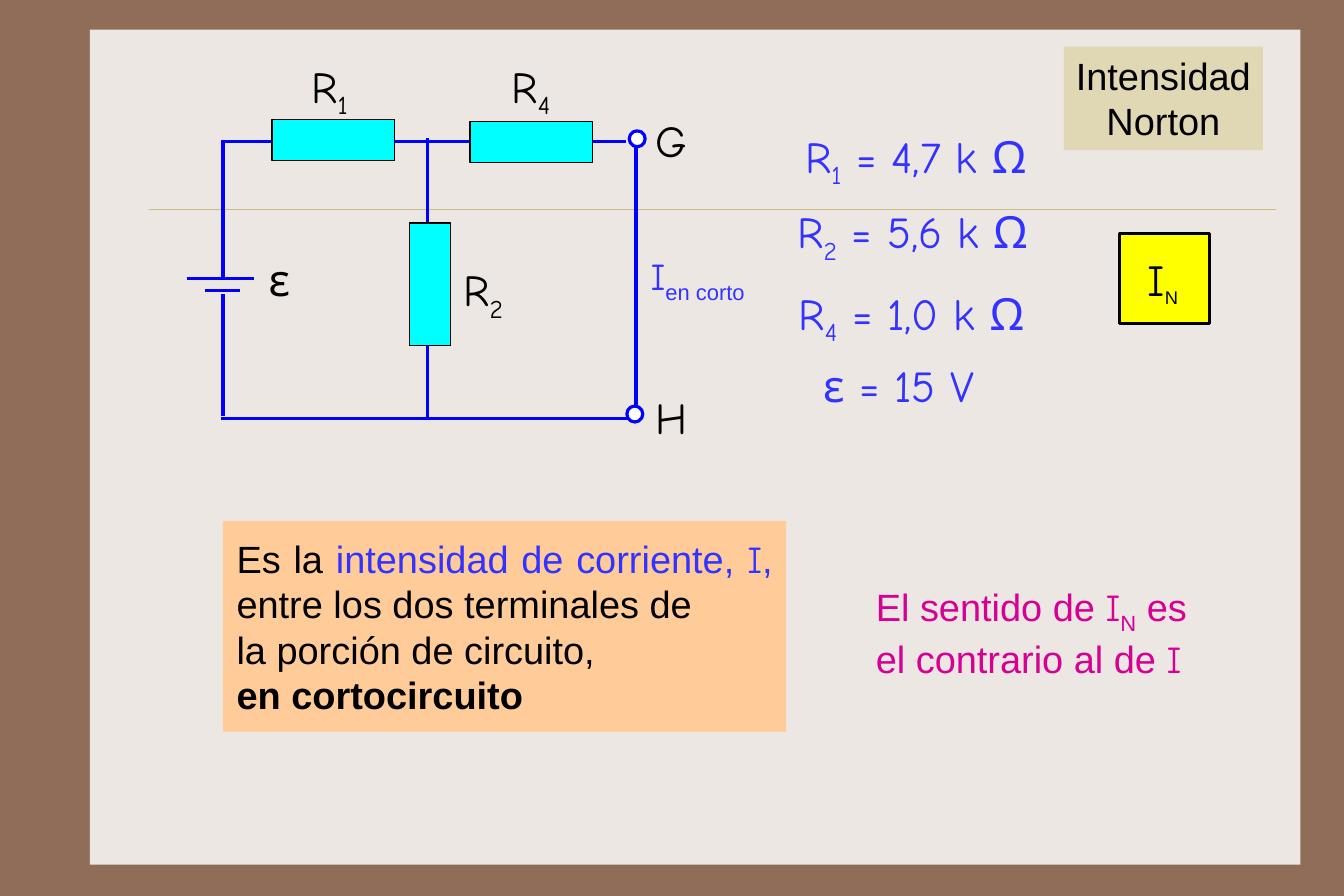
import dataclasses
import typing

import lxml.etree
import pptx
import pptx.dml.color
import pptx.enum.shapes
import pptx.enum.text
import pptx.oxml.ns
import pptx.util

Pt = pptx.util.Pt
Align = pptx.enum.text.PP_ALIGN
Anchor = pptx.enum.text.MSO_ANCHOR
Shape = pptx.enum.shapes.MSO_SHAPE

COLORS: dict[str, str] = {
    "frame": "906D58", "panel": "EDE7E3", "rule": "CBBD83", "wire": "0000FF",
    "resistor": "00FFFF", "black": "000000", "white": "FFFFFF", "blue": "3333FF",
    "yellow": "FFFF00", "orange": "FFCC99", "magenta": "D60093", "sand": "E0D7B5",
}
HAND = "Comic Neue"
SANS = "Arial"


@dataclasses.dataclass(frozen=True)
class Span:
    text: str
    color: str = "black"
    font: str = HAND
    size: float = 28
    sub: bool = False
    bold: bool = False


@dataclasses.dataclass(frozen=True)
class Block:
    left: float
    top: float
    width: float
    height: float
    fill: str
    line: str = ""
    weight: float = 0.75
    kind: typing.Any = Shape.RECTANGLE


@dataclasses.dataclass(frozen=True)
class Line:
    x1: float
    y1: float
    x2: float
    y2: float
    color: str = "wire"
    weight: float = 2


@dataclasses.dataclass(frozen=True)
class Label:
    left: float
    top: float
    width: float
    height: float
    paras: list[list[Span]]
    align: typing.Any = Align.CENTER
    inset_x: float = 6.6
    inset_y: float = 3.6
    fill: str = ""
    anchor: typing.Any = Anchor.TOP
    indent: float = 0


def rgb(name: str) -> pptx.dml.color.RGBColor:
    return pptx.dml.color.RGBColor.from_string(COLORS[name])


def draw_block(page: typing.Any, block: Block) -> typing.Any:
    shape = page.shapes.add_shape(
        block.kind, Pt(block.left), Pt(block.top), Pt(block.width), Pt(block.height))
    shape.shadow.inherit = False
    shape.fill.solid()
    shape.fill.fore_color.rgb = rgb(block.fill)
    if block.line:
        shape.line.color.rgb = rgb(block.line)
        shape.line.width = Pt(block.weight)
    else:
        shape.line.fill.background()
    return shape


def draw_line(page: typing.Any, line: Line) -> None:
    connector = page.shapes.add_connector(
        pptx.enum.shapes.MSO_CONNECTOR.STRAIGHT,
        Pt(line.x1), Pt(line.y1), Pt(line.x2), Pt(line.y2))
    connector.line.color.rgb = rgb(line.color)
    connector.line.width = Pt(line.weight)
    lxml.etree.SubElement(
        connector._element.spPr, pptx.oxml.ns.qn("a:effectLst"))


def draw_label(page: typing.Any, label: Label) -> None:
    if label.fill:
        box = draw_block(page, Block(
            label.left, label.top, label.width, label.height, label.fill))
    else:
        box = page.shapes.add_textbox(
            Pt(label.left), Pt(label.top), Pt(label.width), Pt(label.height))
    frame = box.text_frame
    frame.word_wrap = True
    frame.vertical_anchor = label.anchor
    frame.margin_left = frame.margin_right = Pt(label.inset_x)
    frame.margin_top = frame.margin_bottom = Pt(label.inset_y)
    for index, spans in enumerate(label.paras):
        para = frame.add_paragraph() if index else frame.paragraphs[0]
        para.alignment = label.align
        if label.indent:
            para._p.get_or_add_pPr().set("marL", str(Pt(label.indent)))
        for span in spans:
            run = para.add_run()
            run.text = span.text
            run.font.name = span.font
            run.font.size = Pt(span.size)
            run.font.bold = span.bold
            run.font.color.rgb = rgb(span.color)
            if span.sub:
                run._r.get_or_add_rPr().set("baseline", "-25000")


def symbol(left: float, top: float, *spans: Span) -> Label:
    return Label(left, top, 74.2, 46, [list(spans)])


def terminal(left: float, top: float, name: str) -> Label:
    return Label(left, top, 41, 38.2, [[Span(name)]], Align.LEFT)


def value(left: float, top: float, *texts: str) -> Label:
    spans = [Span(text, "blue", sub=index == 1) for index, text in enumerate(texts)]
    return Label(left, top, 191.5, 46, [spans])


def prose(text: str, color: str = "black", font: str = SANS,
          sub: bool = False, bold: bool = False) -> Span:
    return Span(text, color, font, 24, sub, bold)


BACKDROP = Block(56.9, 18.7, 766, 528.5, "panel")
LINES = [
    Line(94.3, 132.5, 807.8, 132.5, "rule", 0.25),
    Line(402.5, 90, 402.5, 258.5),
    Line(118.1, 176.4, 160.6, 176.4),
    Line(129.6, 183.6, 151.9, 183.6),
    Line(402.5, 265, 139.7, 265),
    Line(141.1, 176.4, 141.1, 88.6),
    Line(396, 89.3, 139.7, 89.3),
    Line(270.7, 265.7, 270.7, 87.1),
    Line(141.1, 263.5, 141.1, 185.8),
]
BLOCKS = [
    Block(172.1, 75.6, 77.8, 25.9, "resistor", "black"),
    Block(297.4, 77, 77.8, 25.9, "resistor", "black"),
    Block(259.2, 141.1, 25.9, 77.8, "resistor", "black"),
    Block(398.2, 82.8, 10.1, 10.1, "white", "wire", 2, Shape.OVAL),
    Block(396.7, 257, 10.1, 10.1, "white", "wire", 2, Shape.OVAL),
    Block(708.5, 147.6, 56.9, 56.9, "yellow", "black", 2),
]
LABELS = [
    symbol(171.4, 33.8, Span("R"), Span("1", sub=True)),
    symbol(298.8, 33.8, Span("R"), Span("4", sub=True)),
    symbol(268.6, 162.7, Span("R"), Span("2", sub=True)),
    symbol(139.7, 156.2, Span("ε")),
    terminal(408.2, 68.4, "G"),
    terminal(408.2, 243.4, "H"),
    Label(404.6, 153.4, 85.7, 42.5,
          [[prose("I", "blue", HAND), prose("en corto", "blue", sub=True)]],
          Align.LEFT, 7.2, 6.5),
    Label(708.5, 153.4, 54.7, 46.8,
          [[Span("I"), Span("N", font=SANS, size=20, sub=True)]],
          inset_x=7.2, inset_y=6.5),
    Label(141.1, 329.8, 356.4, 133.2, [
        [prose("Es la "), prose("intensidad de corriente, ", "blue"),
         prose("I", "blue", HAND), prose(",", "blue"),
         prose(" entre los dos terminales de")],
        [prose("la porción de circuito,")],
        [prose("en cortocircuito", bold=True)],
    ], Align.JUSTIFY, 8.6, 8.6, "orange", Anchor.MIDDLE),
    Label(537.1, 362.9, 231.8, 71.3, [[
        prose("El sentido de ", "magenta"), prose("I", "magenta", HAND),
        prose("N", "magenta", sub=True), prose(" es el contrario al de ", "magenta"),
        prose("I", "magenta", HAND),
    ]], Align.LEFT, 7.2, 6.5, indent=10),
    value(483.8, 78.5, "R", "1", " = 4,7 k Ω"),
    value(481.7, 126, "R", "2", " = 5,6 k Ω"),
    value(481, 177.8, "R", "4", " = 1,0 k Ω"),
    value(473, 223.2, "ε = 15 V"),
    Label(673.2, 29.5, 126, 65.5, [[prose("Intensidad Norton")]], fill="sand"),
]


def main() -> None:
    deck = pptx.Presentation()
    deck.slide_width = Pt(850.5)
    deck.slide_height = Pt(567)
    page = deck.slides.add_slide(deck.slide_layouts[6])
    page.background.fill.solid()
    page.background.fill.fore_color.rgb = rgb("frame")
    draw_block(page, BACKDROP)
    for line in LINES:
        draw_line(page, line)
    for block in BLOCKS:
        draw_block(page, block)
    for label in LABELS:
        draw_label(page, label)
    deck.save("out.pptx")


if __name__ == "__main__":
    main()
